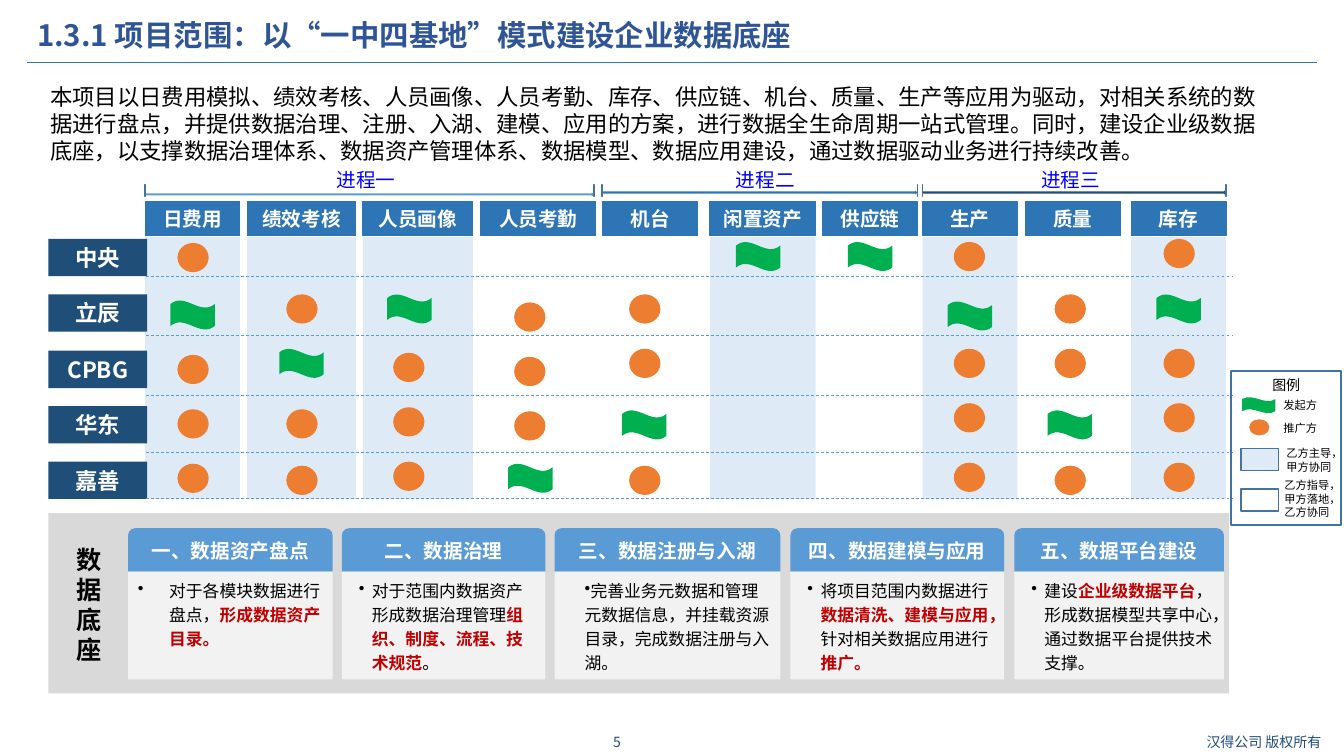
"""Draw the project scope slide: rollout matrix above, data foundation below."""
from lxml import etree
from pptx import Presentation
from pptx import util as u
from pptx.dml.color import RGBColor
from pptx.enum import dml, shapes, text
from pptx.oxml.ns import qn

INK = {
    "white": "FFFFFF", "black": "000000", "title": "2F5597", "navy": "1F4E79",
    "blue": "2E75B6", "sky": "5B9BD5", "pale": "DEEBF7", "edge": "43739E",
    "grey": "D9D9D9", "light": "F2F2F2", "red": "C00000", "link": "0000FF",
    "green": "00B050", "orange": "ED7D31",
}
KIND = shapes.MSO_SHAPE
SIDE = text.PP_ALIGN
MID = text.MSO_ANCHOR.MIDDLE


class Deck:
    """Holds the style and the current slide."""
    font = "Noto Sans CJK SC"
    scale = 9144

    def __init__(self, wide, high):
        self.file = Presentation()
        self.file.slide_width = wide * self.scale
        self.file.slide_height = high * self.scale
        self.page = self.file.slides.add_slide(self.file.slide_layouts[6])

    def px(self, *nums):
        return [u.Emu(round(n) * self.scale) for n in nums]

    def color(self, name):
        return RGBColor.from_string(INK[name])

    def fill_text(self, item, words, size, ink="black", bold=False, side=SIDE.CENTER,
                  anchor=MID, lead=1.2, bullet=None):
        frame = item.text_frame
        frame.word_wrap = True
        frame.vertical_anchor = anchor
        frame.text = words
        for para in frame.paragraphs:
            parts = para.text.split("*")
            para.text = ""
            para.alignment = side
            if bullet:
                props = para._p.get_or_add_pPr()
                props.set("marL", str(bullet[0] * self.scale))
                props.set("indent", str(bullet[1] * self.scale))
                etree.SubElement(props, qn("a:buChar"), char="•")
            para.line_spacing = u.Pt(round(size * lead, 1))
            for i, part in enumerate(parts):
                run = para.add_run()
                run.text = part
                mark = i % 2 == 1
                run.font.size = u.Pt(size)
                run.font.bold = bold or mark
                run.font.color.rgb = self.color("red" if mark else ink)
                run.font.name = self.font
                etree.SubElement(run._r.get_or_add_rPr(), qn("a:ea"), typeface=self.font)

    def label(self, box, words, size, **style):
        item = self.page.shapes.add_textbox(*self.px(*box))
        self.fill_text(item, words, size, **style)

    def shape(self, kind, box, fill=None, edge=None, width=1):
        item = self.page.shapes.add_shape(kind, *self.px(*box))
        item.shadow.inherit = False
        if fill:
            item.fill.solid()
            item.fill.fore_color.rgb = self.color(fill)
        else:
            item.fill.background()
        if edge:
            item.line.color.rgb = self.color(edge)
            item.line.width = u.Pt(width)
        else:
            item.line.fill.background()
        return item

    def line(self, ends, ink, width, dash=False):
        item = self.page.shapes.add_connector(shapes.MSO_CONNECTOR.STRAIGHT, *self.px(*ends))
        item.line.color.rgb = self.color(ink)
        item.line.width = u.Pt(width)
        if dash:
            item.line.dash_style = dml.MSO_LINE.DASH
        etree.SubElement(item._element.spPr, qn("a:effectLst"))

    def flag(self, mid, top, wide=44, high=29):
        self.shape(KIND.WAVE, (mid - wide / 2, top, wide, high), "green")

    def dot(self, mid, top, wide=31, high=29):
        self.shape(KIND.OVAL, (mid - wide / 2, top, wide, high), "orange")


ROWS = ["中央", "立辰", "CPBG", "华东", "嘉善"]
RULES = [274, 333, 392, 449, 494]
COLS = [
    ("日费用", 144, 94, True, 191, 1, (241, 298, 352, 406, 460)),
    ("绩效考核", 245, 108, True, 299, 1, (292, 346, 406, 462)),
    ("人员画像", 360, 109, True, 406, 0, (292, 350, 404, 458)),
    ("人员考勤", 477, 114, False, 526, 3, (300, 354, 408, 460)),
    ("机台", 598, 94, False, 639, 2, (292, 346, 407, 462)),
    ("闲置资产", 704, 105, True, 752, 0, (240,)),
    ("供应链", 816, 94, False, 863, 0, (240,)),
    ("生产", 915, 94, True, 962, 1, (240, 299, 346, 400, 459)),
    ("质量", 1017, 94, False, 1061, 2, (292, 346, 407, 462)),
    ("库存", 1122, 94, True, 1169, 1, (237, 292, 346, 400, 459)),
]
STEPS = [
    ("进程一", 144, 589, 191, 363, "sky"),
    ("进程二", 597, 910, 189, 759, "blue"),
    ("进程三", 915, 1216, 189, 1062, "navy"),
]
CARDS = [
    ("一、数据资产盘点", 127, 203, (31, -31), "对于各模块数据进行盘点，*形成数据资产目录。*"),
    ("二、数据治理", 339, 202, (20, -13),
     "对于范围内数据资产形成数据治理管理*组织、制度、流程、技术规范*。"),
    ("三、数据注册与入湖", 550, 224, (20, 0),
     "完善业务元数据和管理元数据信息，并挂载资源目录，完成数据注册与入湖。"),
    ("四、数据建模与应用", 784, 212, (20, -13),
     "将项目范围内数据进行*数据清洗、建模与应用，*针对相关数据应用进行*推广。*"),
    ("五、数据平台建设", 1006, 208, (20, -13),
     "建设*企业级数据平台*，形成数据模型共享中心，通过数据平台提供技术支撑。"),
]
INTRO = ("本项目以日费用模拟、绩效考核、人员画像、人员考勤、库存、供应链、机台、质量、生产等应用为驱动，"
         "对相关系统的数据进行盘点，并提供数据治理、注册、入湖、建模、应用的方案，"
         "进行数据全生命周期一站式管理。同时，建设企业级数据底座，以支撑数据治理体系、"
         "数据资产管理体系、数据模型、数据应用建设，通过数据驱动业务进行持续改善。")


def frame(deck):
    """Draw the title, introduction and footer."""
    deck.line((27, 62, 1306, 62), "blue", 0.75)
    deck.label((27, 13, 1157, 42), "1.3.1 项目范围：以“一中四基地”模式建设企业数据底座", 21,
               ink="title", bold=True, side=SIDE.LEFT)
    deck.label((40, 78, 1230, 91), INTRO, 16, side=SIDE.LEFT, anchor=text.MSO_ANCHOR.TOP)
    deck.label((577, 723, 70, 27), "5", 10, ink="navy")
    deck.label((1174, 723, 159, 27), "汉得公司 版权所有", 10, ink="navy")


def matrix(deck):
    """Draw the rollout matrix with its steps."""
    for name, left, wide, shade, *_ in COLS:
        if shade:
            deck.shape(KIND.RECTANGLE, (left, 235, wide, 260), "pale")
        head = deck.shape(KIND.RECTANGLE, (left, 200, wide, 34), "blue", "blue", 0.75)
        deck.fill_text(head, name, 14, ink="white", bold=True)
    for i, name in enumerate(ROWS):
        row = deck.shape(KIND.RECTANGLE, (48, 237 + 55.25 * i, 98, 37), "navy")
        deck.fill_text(row, name, 16, ink="white", bold=True)
    for top in RULES:
        deck.line((145, top, 1222, top), "sky", 0.5, dash=True)
    for *_, mid, lead, tops in COLS:
        for i, top in enumerate(tops):
            (deck.flag if i == lead else deck.dot)(mid, top)
    for name, left, right, top, mid, ink in STEPS:
        deck.shape(KIND.RIGHT_ARROW, (left, top, right - left, 4), ink)
        for edge in (left, right):
            deck.shape(KIND.RECTANGLE, (edge, 183, 0, 12), "sky", "edge")
        deck.label((mid - 55, 161, 110, 34), name, 14, ink="link")


def base(deck):
    """Draw the data foundation cards."""
    deck.shape(KIND.RECTANGLE, (48, 509, 1171, 179), "grey")
    deck.label((55, 534, 66, 131), "数据底座", 18, bold=True)
    for name, left, wide, bullet, words in CARDS:
        head = deck.shape(KIND.ROUND_2_SAME_RECTANGLE, (left, 524, wide, 43), "sky")
        deck.fill_text(head, name, 14, ink="white", bold=True)
        body = deck.shape(KIND.RECTANGLE, (left, 567, wide, 107), "light")
        deck.fill_text(body, words, 12, side=SIDE.LEFT, anchor=text.MSO_ANCHOR.TOP,
                       lead=1.44, bullet=bullet)


def legend(deck):
    """Draw the legend."""
    deck.shape(KIND.RECTANGLE, (1221, 368, 109, 153), edge="edge")
    deck.label((1252, 368, 49, 27), "图例", 10, side=SIDE.LEFT)
    deck.flag(1249, 394, 33, 16)
    deck.dot(1249, 416, 20, 16)
    for top, fill in ((445, "pale"), (485, "white")):
        deck.shape(KIND.RECTANGLE, (1231, top, 37, 22), fill, "edge")
    for box, words in (
        ((1263, 390, 70, 23), "发起方"),
        ((1263, 413, 70, 23), "推广方"),
        ((1266, 438, 66, 37), "乙方主导，\n甲方协同"),
        ((1264, 470, 66, 50), "乙方指导，\n甲方落地，\n乙方协同"),
    ):
        deck.label(box, words, 8, side=SIDE.LEFT)


def main():
    """Build and save the slide."""
    deck = Deck(1333, 750)
    for part in (frame, base, matrix, legend):
        part(deck)
    deck.file.save("out.pptx")


if __name__ == "__main__":
    main()
